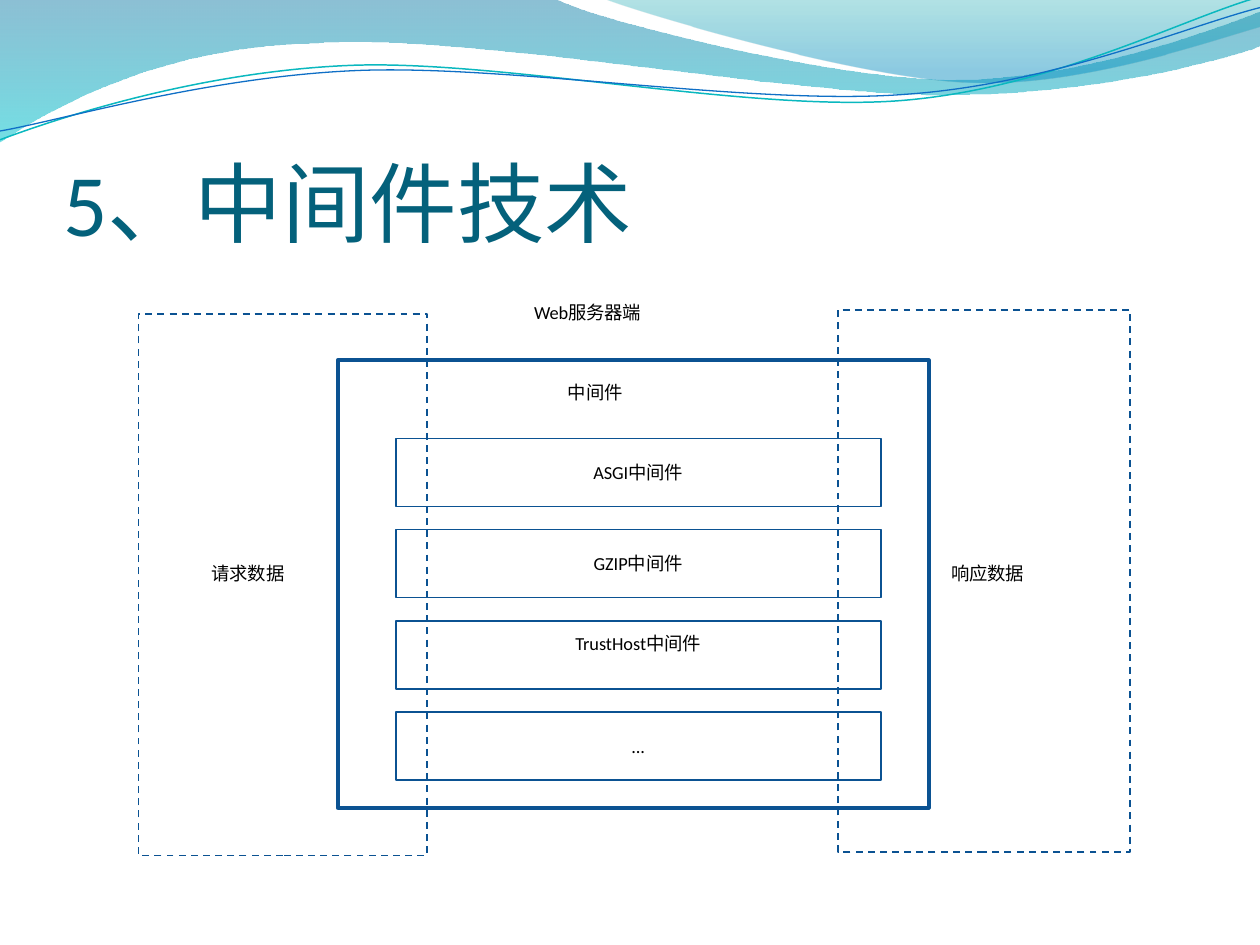
from math import cos, radians, sin
from pptx import Presentation
from pptx.dml.color import RGBColor
from pptx.enum.dml import MSO_LINE_DASH_STYLE as Dash
from pptx.enum.shapes import MSO_SHAPE as Preset
from pptx.enum.text import MSO_ANCHOR as Anchor, MSO_AUTO_SIZE as AutoSize, PP_ALIGN as Align
from pptx.oxml.ns import qn
from pptx.util import Inches, Pt
from lxml.etree import SubElement

FONT = "Calibri"
COLORS = {
    "title": "04617B", "text": "000000", "frame": "0B5292",
    "teal_line": "0AB8BF", "blue_line": "0F6FC6",
    "deep_blue": "0074A1", "cyan": "00C6CF", "sea_green": "00A1A9", "sky_blue": "008BBF",
}
TITLE = "5、中间件技术"
LABELS = [
    ("Web服务器端", 4.14, 2.34, 2.23),
    ("中间件", 4.41, 2.98, 1.24),
    ("请求数据", 1.58, 4.41, 1.24),
    ("响应数据", 7.45, 4.41, 1.24),
]
DATA_AREAS = [(1.1, 2.49, 2.29, 4.3), (6.65, 2.46, 2.32, 4.3)]
MIDDLEWARE_FRAME = (2.68, 2.86, 4.69, 3.55)
LAYERS = [("ASGI中间件", 0.05), ("GZIP中间件", 0.05), ("TrustHost中间件", 0.23), ("...", 0.05)]
LAYER_LEFT, LAYER_WIDTH, LAYER_HEIGHT = 3.14, 3.85, 0.54
FIRST_TOP, LAST_TOP = 3.48, 5.65
BANDS = [
    ((-0.01, -0.01, 10.02, 1.14),
     [(0, 0), (4.4, -0.01), (4.76, 0.17, 6.64, 0.63, 7.58, 0.63),
      (8.53, 0.63, 9.58, 0.26, 10, 0.09), (10.01, 0.36),
      (9.83, 0.44, 8.7, 0.76, 7.46, 0.75), (6.22, 0.75, 3.82, 0.28, 2.57, 0.34),
      (1.29, 0.36, 0.46, 0.83, -0.01, 1.13), (0, 0)],
     [(0, "deep_blue", 45), (1, "cyan", 55)]),
    ((4.79, -0.01, 5.21, 0.7),
     [(4.79, -0.01), (5.09, 0.11, 6.82, 0.62, 7.69, 0.65),
      (8.56, 0.69, 9.61, 0.32, 10, 0.21), (10, 0), (4.79, -0.01)],
     [(0, "sea_green", 30), (0.8, "sky_blue", 45)]),
]
WAVE_TURN = -2.7
WAVES = [
    ((-0.02, 0.22, 10.02, 0.71),
     [(0, 1.11), (0.48, 0.93, 1.58, 0.57, 2.77, 0.52), (3.95, 0.47, 5.93, 0.89, 7.13, 0.8),
      (8.33, 0.71, 9.38, 0.15, 9.98, -0.02)], "teal_line", 0.85),
    ((-0.02, 0.3, 10.03, 0.58),
     [(0, 1.04), (0.47, 0.96, 1.64, 0.61, 2.83, 0.56), (4.03, 0.51, 5.97, 0.84, 7.17, 0.75),
      (8.36, 0.67, 9.41, 0.21, 10, 0.06)], "blue_line", 0.75),
]
UNITS = 10000


def rgb(color):
    return RGBColor.from_string(COLORS[color])


def add_curve(slide, place, segments, close, turn=0):
    left, top, width, height = place
    builder = slide.shapes.build_freeform(scale=Inches(1))
    builder.add_line_segments([(1, 0), (1, 1)], close=close)
    curve = builder.convert_to_shape()
    curve.left, curve.top, curve.width, curve.height = map(Inches, place)
    curve.rotation = turn % 360
    curve.shadow.inherit = False
    outline = next(curve._element.spPr.iter(qn("a:path")))
    outline.clear()
    outline.set("w", str(round(width * UNITS)))
    outline.set("h", str(round(height * UNITS)))
    if not close:
        outline.set("fill", "none")
    cosine, sine = cos(radians(-turn)), sin(radians(-turn))
    for index, segment in enumerate(segments):
        kind = "moveTo" if index == 0 else "lnTo" if len(segment) == 2 else "cubicBezTo"
        command = SubElement(outline, qn("a:" + kind))
        for x, y in zip(segment[::2], segment[1::2]):
            dx, dy = x - left - width / 2, y - top - height / 2
            point = SubElement(command, qn("a:pt"))
            point.set("x", str(round((dx * cosine - dy * sine + width / 2) * UNITS)))
            point.set("y", str(round((dx * sine + dy * cosine + height / 2) * UNITS)))
    if close:
        SubElement(outline, qn("a:close"))
    return curve


def add_band(slide, place, segments, stops):
    band = add_curve(slide, place, segments, True)
    band.line.fill.background()
    band.fill.gradient()
    band.fill.gradient_angle = 270
    for stop, (position, color, _) in zip(band.fill.gradient_stops, stops):
        stop.position = position
        stop.color.rgb = rgb(color)
    for node, (_, _, opacity) in zip(band._element.spPr.iter(qn("a:srgbClr")), stops):
        SubElement(node, qn("a:alpha")).set("val", str(opacity * 1000))


def set_outline(shape, color, width):
    shape.fill.background()
    shape.line.color.rgb = rgb(color)
    shape.line.width = Pt(width)


def add_box(slide, place, width, dash=None):
    box = slide.shapes.add_shape(Preset.RECTANGLE, *map(Inches, place))
    box.shadow.inherit = False
    set_outline(box, "frame", width)
    if dash:
        box.line.dash_style = dash
    return box


def write(frame, text, size, color, align):
    frame.word_wrap = True
    paragraph = frame.paragraphs[0]
    paragraph.alignment = align
    run = paragraph.add_run()
    run.text = text
    run.font.name, run.font.size = FONT, Pt(size)
    run.font.color.rgb = rgb(color)


def add_title(slide):
    title = slide.shapes.title
    title.left, title.top, title.width, title.height = map(Inches, (0.5, 0.77, 9, 1.25))
    frame = title.text_frame
    frame.auto_size = AutoSize.NONE
    frame.vertical_anchor = Anchor.BOTTOM
    frame.margin_left = frame.margin_right = frame.margin_bottom = 0
    frame.margin_top = Inches(0.05)
    write(frame, TITLE, 50, "title", Align.LEFT)


def main():
    """Build the middleware slide."""
    deck = Presentation()
    deck.slide_width, deck.slide_height = Inches(10), Inches(7.5)
    slide = deck.slides.add_slide(deck.slide_layouts[5])
    for place, segments, stops in BANDS:
        add_band(slide, place, segments, stops)
    for place, segments, color, width in WAVES:
        set_outline(add_curve(slide, place, segments, False, WAVE_TURN), color, width)
    add_title(slide)
    for area in DATA_AREAS:
        add_box(slide, area, 1, Dash.DASH)
    add_box(slide, MIDDLEWARE_FRAME, 2.25)
    pitch = (LAST_TOP - FIRST_TOP) / (len(LAYERS) - 1)
    for index, (name, bottom_inset) in enumerate(LAYERS):
        top = FIRST_TOP + index * pitch
        layer = add_box(slide, (LAYER_LEFT, top, LAYER_WIDTH, LAYER_HEIGHT), 1)
        layer.text_frame.vertical_anchor = Anchor.MIDDLE
        layer.text_frame.margin_bottom = Inches(bottom_inset)
        write(layer.text_frame, name, 10.5, "text", Align.CENTER)
    for text, left, top, width in LABELS:
        label = slide.shapes.add_textbox(*map(Inches, (left, top, width, 0.46)))
        write(label.text_frame, text, 10.5, "text", Align.JUSTIFY)
    deck.save("out.pptx")


if __name__ == "__main__":
    main()
